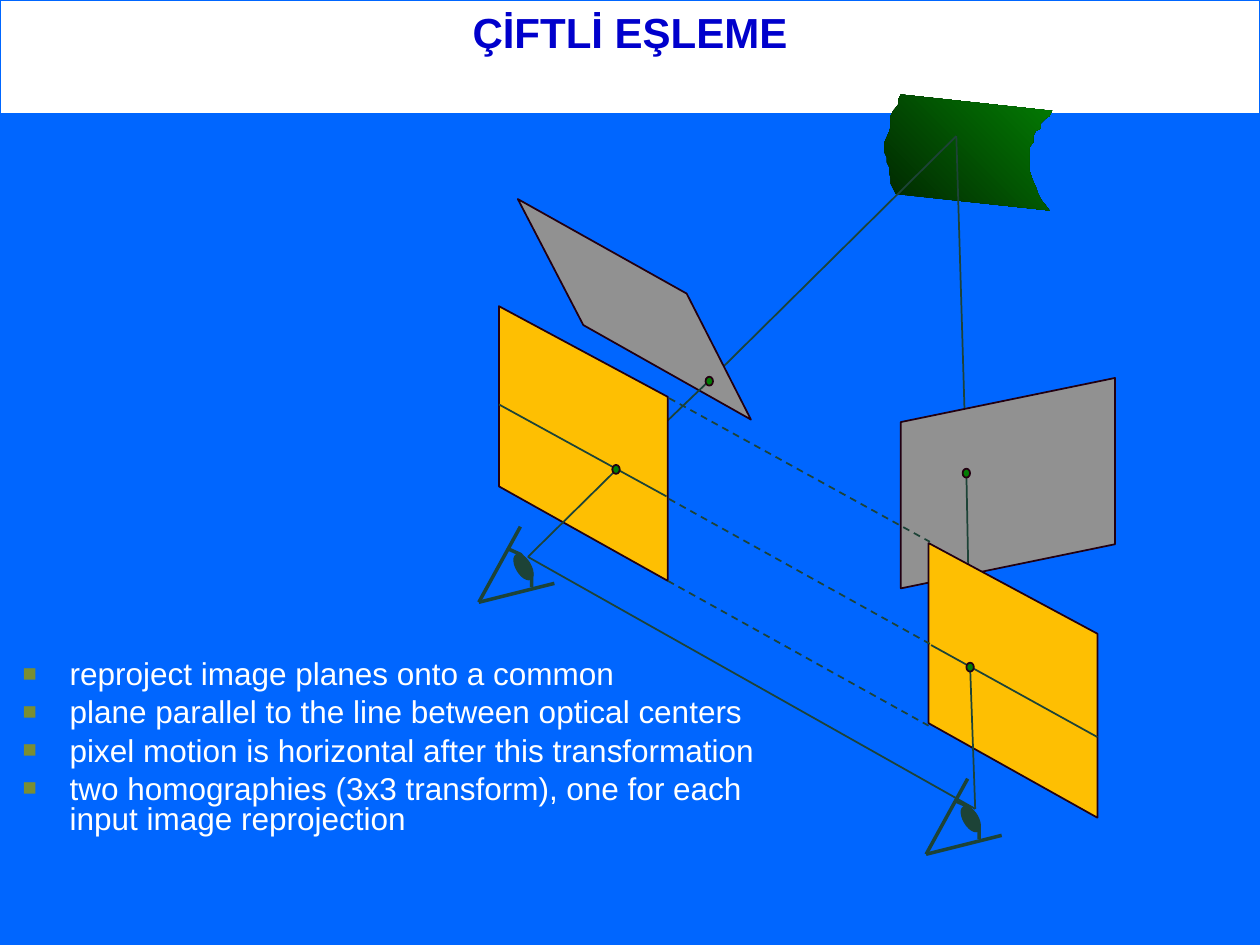
"""Builds the slide on reprojecting two image planes onto a common plane."""
from lxml.etree import SubElement
from pptx import Presentation
from pptx.dml.color import RGBColor
from pptx.enum.dml import MSO_LINE
from pptx.enum.shapes import MSO_CONNECTOR, MSO_SHAPE
from pptx.enum.text import MSO_ANCHOR, MSO_AUTO_SIZE, PP_ALIGN
from pptx.oxml.ns import qn
from pptx.util import Cm, Pt

HEX = {
    "background": "0066FF", "white": "FFFFFF", "title": "0000CC",
    "bullet": "7A8E32", "ray": "1D4337", "edge": "220011",
    "image": "919191", "common": "FEBF02", "point": "037C03", "shade": "012501",
}
COLORS = {part: RGBColor.from_string(value) for part, value in HEX.items()}
UNIT = Cm(2.54)

deck = Presentation()
deck.slide_width, deck.slide_height = 10 * UNIT, Cm(19.05)
slide = deck.slides.add_slide(deck.slide_layouts[1])
slide.background.fill.solid()
slide.background.fill.fore_color.rgb = COLORS["background"]


def draw_line(start, end, width=1, dashed=False):
    ends = [round(value * UNIT) for value in (*start, *end)]
    segment = slide.shapes.add_connector(MSO_CONNECTOR.STRAIGHT, *ends)
    segment.line.color.rgb = COLORS["ray"]
    segment.line.width = Pt(width)
    if dashed:
        segment.line.dash_style = MSO_LINE.DASH
    SubElement(segment._element.spPr, qn("a:effectLst"))


def draw_outline(corners, fill=None, edge="edge", width=1, close=True):
    points = [(round(x * UNIT), round(y * UNIT)) for x, y in corners]
    builder = slide.shapes.build_freeform(*points[0])
    builder.add_line_segments(points[1:], close=close)
    outline = builder.convert_to_shape()
    outline.shadow.inherit = False
    if fill:
        outline.fill.solid()
        outline.fill.fore_color.rgb = COLORS[fill]
    else:
        outline.fill.background()
    outline.line.color.rgb = COLORS[edge]
    outline.line.width = Pt(width)
    return outline


title = slide.shapes.title
title.left, title.top, title.width, title.height = 0, 0, 10 * UNIT, Cm(2.3)
title.fill.solid()
title.fill.fore_color.rgb = COLORS["white"]
title.line.color.rgb = COLORS["background"]
title.line.width = Pt(0.75)
title.text_frame.text = "ÇİFTLİ EŞLEME"
title.text_frame.auto_size = MSO_AUTO_SIZE.NONE
title.text_frame.vertical_anchor = MSO_ANCHOR.TOP
heading = title.text_frame.paragraphs[0]
heading.alignment = PP_ALIGN.CENTER
heading.font.name, heading.font.size, heading.font.bold = "Arial", Pt(24), True
heading.font.color.rgb = COLORS["title"]

steps = slide.placeholders[1]
steps.left, steps.top, steps.width, steps.height = Cm(0.2), Cm(13.21), Cm(16.51), Cm(5.56)
steps.text_frame.text = "\n".join([
    "reproject image planes onto a common",
    "plane parallel to the line between optical centers",
    "pixel motion is horizontal after this transformation",
    "two homographies (3x3 transform), one for each input image reprojection",
])
steps.text_frame.auto_size = MSO_AUTO_SIZE.NONE
steps.text_frame.vertical_anchor = MSO_ANCHOR.TOP
for step in steps.text_frame.paragraphs:
    properties = step._p.get_or_add_pPr()
    properties.set("marL", str(Cm(0.95)))
    properties.set("indent", str(-Cm(0.95)))
    bullet_color = SubElement(properties, qn("a:buClr"))
    SubElement(bullet_color, qn("a:srgbClr"), val=HEX["bullet"])
    SubElement(properties, qn("a:buSzPct"), val="75000")
    SubElement(properties, qn("a:buFont"), typeface="Arial")
    SubElement(properties, qn("a:buChar"), char="■")
    step.line_spacing, step.space_before = 0.8, Pt(4.5)
    step.font.name, step.font.size = "Arial", Pt(18)
    step.font.color.rgb = COLORS["white"]

surface = draw_outline([
    (7.15, 0.75), (7.13, 0.79), (7.13, 0.83), (7.09, 0.88), (7.07, 0.92),
    (7.07, 1), (7.06, 1.04), (7.02, 1.13), (7.02, 1.21), (7.04, 1.25),
    (7.04, 1.29), (7.06, 1.33), (7.06, 1.38), (7.07, 1.42), (7.07, 1.46),
    (7.09, 1.5), (7.11, 1.54), (8.33, 1.67), (8.26, 1.58), (8.24, 1.54),
    (8.22, 1.48), (8.2, 1.44), (8.17, 1.35), (8.17, 1.17), (8.2, 1.13),
    (8.2, 1.08), (8.22, 1.04), (8.26, 1.02), (8.26, 0.98), (8.3, 0.94),
    (8.33, 0.92), (8.35, 0.88),
])
surface.line.fill.background()
surface.fill.gradient()
surface.fill.gradient_angle = 45
for stop, tone in zip(surface.fill.gradient_stops, ("shade", "point")):
    stop.color.rgb = COLORS[tone]
for stop, position in zip(surface.fill.gradient_stops, (0, 1)):
    stop.position = position

scene_point = (7.59, 1.08)
left_center, right_center = (4.19, 4.42), (7.74, 6.42)
left_image, right_image = (5.63, 3.02), (7.67, 3.75)
left_common, right_common = (4.89, 3.73), (7.7, 5.31)
common_plane = [(3.96, 3.86), (5.3, 4.61), (5.3, 3.15), (3.96, 2.43)]

draw_line(left_center, right_center)
draw_line(left_image, scene_point)
draw_outline([(4.63, 2.58), (5.96, 3.33), (5.45, 2.33), (4.11, 1.58)], "image")
draw_line(right_image, scene_point)
draw_line(left_common, left_image)
draw_outline(common_plane, "common")
draw_outline([(7.15, 3.35), (7.15, 4.67), (8.85, 4.32), (8.85, 3)], "image")
draw_line(right_common, right_image)
draw_outline([(x + 3.41, y + 1.88) for x, y in common_plane], "common")
draw_line(left_center, left_common)
draw_line(right_center, right_common)

for x, y in [(3.8, 4.78), (7.35, 6.78)]:
    cornea = [(0.24, -0.42), (0.33, -0.38), (0.39, -0.31), (0.42, -0.22), (0.42, -0.12)]
    draw_outline([(x + dx, y + dy) for dx, dy in cornea], edge="ray", width=2, close=False)
    draw_line((x + 0.33, y - 0.6), (x, y), 2)
    pupil = slide.shapes.add_shape(
        MSO_SHAPE.OVAL, round((x + 0.3) * UNIT), round((y - 0.39) * UNIT), Cm(0.28), Cm(0.56))
    pupil.rotation = 329
    pupil.shadow.inherit = False
    pupil.fill.solid()
    pupil.fill.fore_color.rgb = pupil.line.color.rgb = COLORS["ray"]
    pupil.line.width = Pt(1)
    draw_line((x, y), (x + 0.6, y - 0.15), 2)

for start, end in [((5.31, 3.16), (7.38, 4.3)), ((5.3, 4.61), (7.37, 5.76)),
                   ((5.31, 3.96), (7.38, 5.11))]:
    draw_line(start, end, dashed=True)
draw_line((3.96, 3.21), (5.29, 3.94))
draw_line((7.39, 5.12), (8.71, 5.85))

for x, y in [(7.64, 3.72), (5.6, 2.99), (7.67, 5.26), (4.86, 3.69)]:
    match = slide.shapes.add_shape(
        MSO_SHAPE.OVAL, round(x * UNIT), round(y * UNIT), Cm(0.15), Cm(0.18))
    match.shadow.inherit = False
    match.fill.solid()
    match.fill.fore_color.rgb = COLORS["point"]
    match.line.color.rgb = COLORS["edge"]
    match.line.width = Pt(1)

deck.save("out.pptx")
